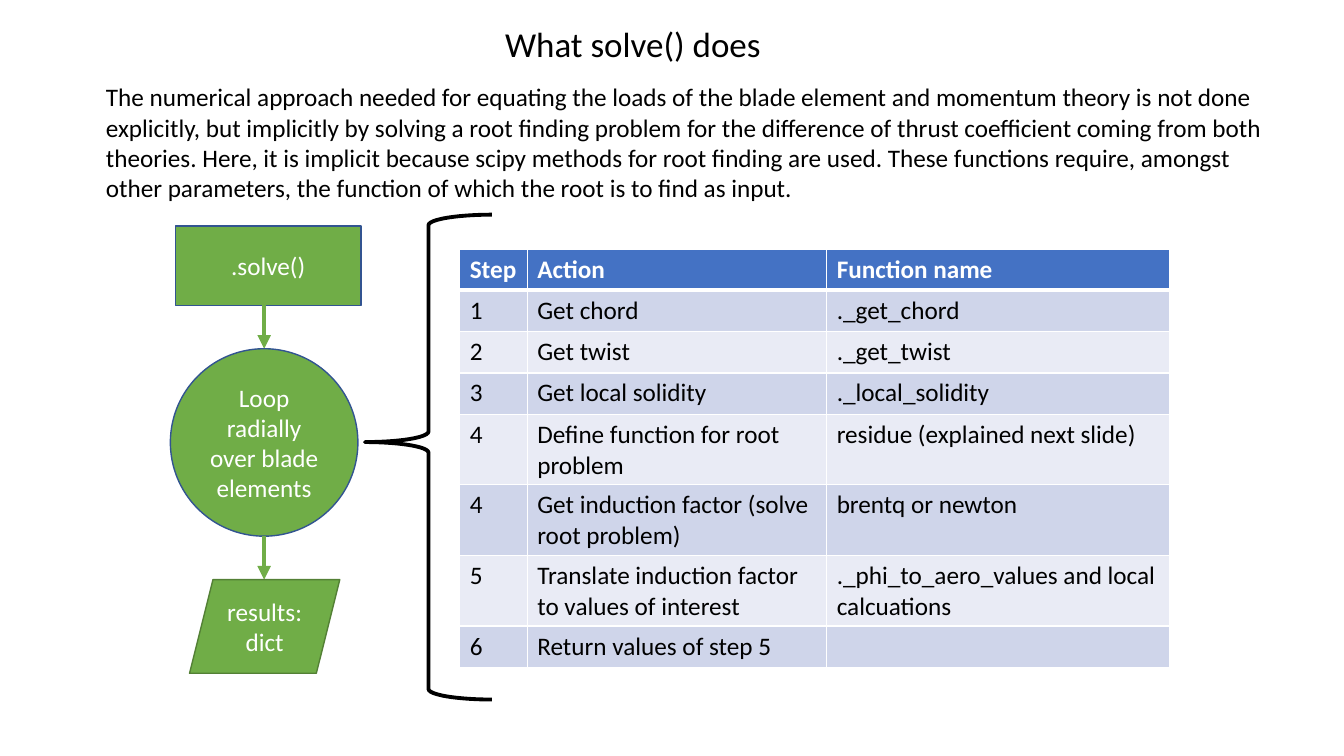
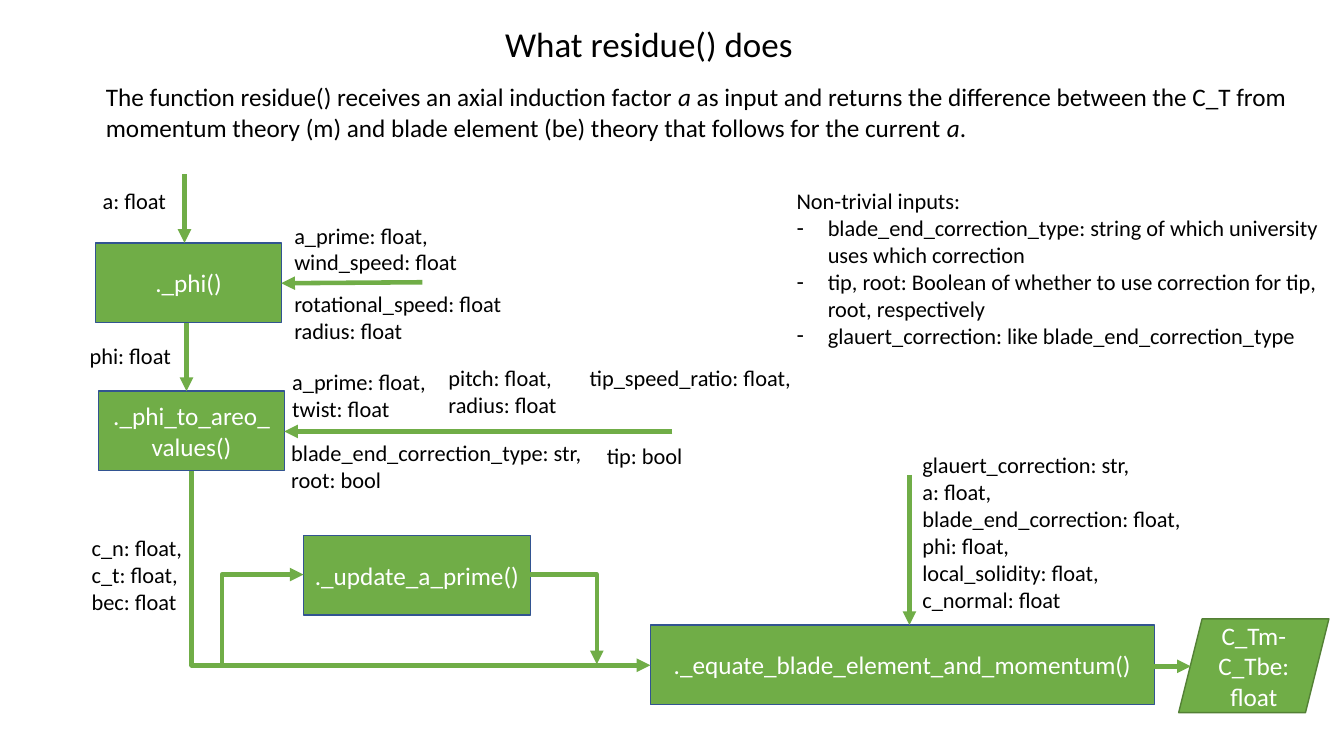
"""Build two slides on the solve() and residue() functions."""
from dataclasses import dataclass

from lxml import etree
from pptx import Presentation
from pptx import util as u
from pptx.dml import color
from pptx.enum import shapes, text
from pptx.oxml import ns

rgb = color.RGBColor.from_string


@dataclass(frozen=True)
class Theme:
    """Colours, type sizes and line widths of both slides."""
    font: str = "Calibri"
    ink: color.RGBColor = rgb("000000")
    paper: color.RGBColor = rgb("FFFFFF")
    green: color.RGBColor = rgb("70AD47")
    blue_edge: color.RGBColor = rgb("325491")
    green_edge: color.RGBColor = rgb("538035")
    header: color.RGBColor = rgb("4472C4")
    bands: tuple = (rgb("CFD5EA"), rgb("E9EBF5"))
    title: int = 25
    body: int = 18
    label: int = 16
    outline: float = 1
    arrow: float = 3.25
    brace: float = 2.75


THEME = Theme()
KIND = shapes.MSO_SHAPE
INTRO_TOP, INTRO_LEFT, INTRO_WIDTH = 0.76, 0.95, 11.93
STEP_WIDTH, STEP_HEIGHT = 1.84, 0.79
RESULT_SIZE = (1.49, 0.93)


def inches(*values):
    """Convert numbers to lengths."""
    return [u.Inches(value) for value in values]


def place(item, left, top, width, height):
    """Move and size an item."""
    item.left, item.top, item.width, item.height = inches(left, top, width, height)


def child(parent, tag, **attributes):
    """Append a drawing element to parent."""
    return etree.SubElement(parent, ns.qn(tag), attributes)


def add_runs(paragraph, runs, size, ink=THEME.ink, bold=False):
    """Add runs to a paragraph; a run in a tuple is italic."""
    for part in runs:
        run = paragraph.add_run()
        run.text = part[0] if isinstance(part, tuple) else part
        run.font.name, run.font.size = THEME.font, u.Pt(size)
        run.font.bold, run.font.italic = bold, isinstance(part, tuple)
        run.font.color.rgb = ink


def write(frame, paragraphs, size, wrap=True):
    """Fill a growing, left-aligned text frame with lists of runs."""
    frame.word_wrap = wrap
    frame.auto_size = text.MSO_AUTO_SIZE.SHAPE_TO_FIT_TEXT
    frame.vertical_anchor = text.MSO_ANCHOR.TOP
    for index, runs in enumerate(paragraphs):
        paragraph = frame.add_paragraph() if index else frame.paragraphs[0]
        paragraph.alignment = text.PP_ALIGN.LEFT
        paragraph.space_before = u.Pt(0)
        add_runs(paragraph, runs, size)


def set_bullet(paragraph, mark=None):
    """Give a paragraph a hanging mark, or none at all."""
    properties = paragraph._p.get_or_add_pPr()
    hang = u.Inches(0.31) if mark else 0
    properties.set("marL", str(hang))
    properties.set("indent", str(-hang))
    if mark:
        child(properties, "a:buFontTx")
        child(properties, "a:buChar", char=mark)
    else:
        child(properties, "a:buNone")


def start_slide(deck, layout, heading, heading_width, intro, intro_height):
    """Add a slide with its heading and introduction."""
    slide = deck.slides.add_slide(deck.slide_layouts[layout])
    place(slide.shapes.title, 4.91, 0.17, heading_width, 0.52)
    write(slide.shapes.title.text_frame, [[heading]], THEME.title, wrap=False)
    body = slide.placeholders[1]
    place(body, INTRO_LEFT, INTRO_TOP, INTRO_WIDTH, intro_height)
    write(body.text_frame, [intro], THEME.body)
    set_bullet(body.text_frame.paragraphs[0])
    return slide


def add_label(slide, left, top, width, lines, wrap=False):
    """Add a note that names the values passed along an arrow."""
    height = 0.1 + 0.27 * len(lines)
    label = slide.shapes.add_textbox(*inches(left, top, width, height))
    write(label.text_frame, [[line] for line in lines], THEME.label, wrap)


def add_node(slide, kind, left, top, width, height, caption, edge=THEME.blue_edge):
    """Add a green flow chart node."""
    node = slide.shapes.add_shape(kind, *inches(left, top, width, height))
    node.shadow.inherit = False
    node.fill.solid()
    node.fill.fore_color.rgb = THEME.green
    node.line.color.rgb, node.line.width = edge, u.Pt(THEME.outline)
    node.text_frame.vertical_anchor = text.MSO_ANCHOR.MIDDLE
    paragraph = node.text_frame.paragraphs[0]
    paragraph.alignment = text.PP_ALIGN.CENTER
    add_runs(paragraph, [caption], THEME.body, THEME.paper)
    return node


def add_step(slide, left, top, caption, width=STEP_WIDTH):
    """Add a rectangular function node."""
    return add_node(slide, KIND.RECTANGLE, left, top, width, STEP_HEIGHT, caption)


def add_result(slide, left, top, caption):
    """Add a parallelogram node for a returned value."""
    add_node(slide, KIND.PARALLELOGRAM, left, top, *RESULT_SIZE, caption, THEME.green_edge)


def style_arrow(arrow):
    """Make a connector a green arrow without shadow."""
    arrow.line.color.rgb, arrow.line.width = THEME.green, u.Pt(THEME.arrow)
    child(arrow.line._get_or_add_ln(), "a:tailEnd", type="triangle")
    child(arrow._element.spPr, "a:effectLst")


def add_arrow(slide, start, end):
    """Add a straight arrow."""
    style_arrow(slide.shapes.add_connector(
        shapes.MSO_CONNECTOR.STRAIGHT, *inches(*start, *end)))


def add_elbow(slide, start, end, source=None, target=None, vertical_first=True):
    """Add a rightward arrow with one corner, joined to (node, site) pairs."""
    elbow = slide.shapes.add_connector(
        shapes.MSO_CONNECTOR.ELBOW, *inches(*start, *end))
    if source:
        elbow.begin_connect(*source)
    if target:
        elbow.end_connect(*target)
    (x1, y1), (x2, y2) = start, end
    upward = y2 < y1
    width, height = abs(x2 - x1), abs(y2 - y1)
    turn = 0
    if vertical_first:
        width, height = height, width
        turn = 90 if upward else 270
    place(elbow, (x1 + x2 - width) / 2, (y1 + y2 - height) / 2, width, height)
    frame = elbow._element.spPr.find(ns.qn("a:xfrm"))
    frame.set("rot", str(turn * 60000))
    frame.set("flipH", str(int(vertical_first)))
    frame.set("flipV", str(int(upward)))
    elbow._element.spPr.find(ns.qn("a:prstGeom")).set("prst", "bentConnector2")
    style_arrow(elbow)


def add_brace(slide):
    """Add the brace that opens the loop into its steps."""
    brace = slide.shapes.add_shape(KIND.LEFT_BRACE, *inches(3.62, 2.13, 1.26, 4.81))
    brace.shadow.inherit = False
    brace.fill.background()
    brace.line.color.rgb, brace.line.width = THEME.ink, u.Pt(THEME.brace)
    brace.adjustments[0], brace.adjustments[1] = 0.083, 0.469


def set_borders(cell, row):
    """Draw white cell borders, thicker under the header row."""
    thick = {0: "B", 1: "T"}.get(row)
    for side in "LRTB":
        width = u.Pt(3 if side == thick else 1)
        line = child(cell._tc.get_or_add_tcPr(), f"a:ln{side}", w=str(width))
        child(child(line, "a:solidFill"), "a:srgbClr", val=str(THEME.paper))


def add_steps_table(slide, left, top, widths, row_height, rows):
    """Add a banded table with a header row."""
    area = inches(left, top, sum(widths), row_height * len(rows))
    table = slide.shapes.add_table(len(rows), len(widths), *area).table
    for column, width in zip(table.columns, widths):
        column.width = u.Inches(width)
    for r, row in enumerate(rows):
        table.rows[r].height = u.Inches(row_height)
        for c, entry in enumerate(row):
            cell = table.cell(r, c)
            set_borders(cell, r)
            cell.fill.solid()
            cell.fill.fore_color.rgb = THEME.bands[(r - 1) % 2] if r else THEME.header
            if entry:
                add_runs(cell.text_frame.paragraphs[0], [entry], THEME.body,
                         THEME.ink if r else THEME.paper, bold=not r)


def build_solve(deck):
    """Build the slide on solve()."""
    slide = start_slide(deck, 1, "What solve() does", 2.76, [
        "The numerical approach needed for equating the loads of the blade element and "
        "momentum theory is not done explicitly, but implicitly by solving a root finding "
        "problem for the difference of thrust coefficient coming from both theories. Here, "
        "it is implicit because scipy methods for root finding are used. These functions "
        "require, amongst other parameters, the function of which the root is to find as "
        "input."], 1.31)
    add_step(slide, 1.74, 2.24, ".solve()")
    add_arrow(slide, (2.62, 3.03), (2.62, 3.46))
    add_node(slide, KIND.OVAL, 1.69, 3.46, 1.86, 1.86, "Loop radially over blade elements")
    add_arrow(slide, (2.62, 5.32), (2.62, 5.75))
    add_result(slide, 1.88, 5.75, "results: dict")
    add_brace(slide)
    add_steps_table(slide, 4.56, 2.47, (0.67, 2.97, 3.4), 0.41, [
        ("Step", "Action", "Function name"),
        ("1", "Get chord", "._get_chord"),
        ("2", "Get twist", "._get_twist"),
        ("3", "Get local solidity", "._local_solidity"),
        ("4", "Define function for root problem", "residue (explained next slide)"),
        ("4", "Get induction factor (solve root problem)", "brentq or newton"),
        ("5", "Translate induction factor to values of interest",
         "._phi_to_aero_values and local calcuations"),
        ("6", "Return values of step 5", ""),
    ])


def add_inputs(slide):
    """Fill the second body with the list of inputs."""
    inputs = slide.placeholders[2]
    place(inputs, 7.8, 1.81, 5.38, 1.72)
    write(inputs.text_frame, [
        ["Non-trivial inputs:"],
        ["blade_end_correction_type: string of which university uses which correction"],
        ["tip, root: Boolean of whether to use correction for tip, root, respectively"],
        ["glauert_correction: like blade_end_correction_type"],
    ], THEME.label)
    for index, paragraph in enumerate(inputs.text_frame.paragraphs):
        set_bullet(paragraph, "-" if index else None)


def build_residue(deck):
    """Build the slide on residue()."""
    slide = start_slide(deck, 3, "What residue() does", 3.09, [
        "The function residue() receives an axial induction factor ", ("a",),
        " as input and returns the difference between the C_T from momentum theory (m) "
        "and blade element (be) theory that follows for the current ", ("a",), "."], 0.71)
    add_inputs(slide)
    add_step(slide, 0.95, 2.41, "._phi()")
    to_values = add_step(slide, 0.98, 3.88, "._phi_to_areo_values()")
    update = add_step(slide, 3.01, 5.31, "._update_a_prime()", 2.25)
    equate = add_step(slide, 6.45, 6.2, "._equate_blade_element_and_momentum()", 5)
    add_result(slide, 11.69, 6.14, "C_Tm-C_Tbe: float")

    for start, end in (
            ((1.83, 1.73), (1.83, 2.41)), ((4.19, 2.8), (2.79, 2.81)),
            ((1.85, 3.2), (1.85, 3.88)), ((6.67, 4.28), (2.82, 4.28)),
            ((11.45, 6.61), (11.81, 6.61)), ((9.02, 4.71), (9.02, 6.2))):
        add_arrow(slide, start, end)
    add_elbow(slide, (2.2, 6.59), (3.01, 5.7), target=(update, 1))
    add_elbow(slide, (5.26, 5.7), (5.92, 6.59), source=(update, 3), vertical_first=False)
    add_elbow(slide, (1.9, 4.67), (6.45, 6.6), (to_values, 2), (equate, 1))

    for left, top, width, lines in (
            (0.92, 1.81, 0.84, ["a: float"]),
            (2.82, 2.15, 1.89, ["a_prime: float,", "wind_speed: float"]),
            (2.82, 2.83, 2.28, ["rotational_speed: float", "radius: float"]),
            (0.79, 3.35, 1.02, ["phi: float"]),
            (0.81, 5.25, 1.11, ["c_n: float,", "c_t: float,", "bec: float"]),
            (9.05, 4.43, 2.8, ["glauert_correction: str,", "a: float,",
                               "blade_end_correction: float,", "phi: float,",
                               "local_solidity: float,", "c_normal: float"])):
        add_label(slide, left, top, width, lines)
    for left, top, width, lines in (
            (2.8, 3.6, 1.84, ["a_prime: float,", "twist: float"]),
            (4.35, 3.56, 1.84, ["pitch: float,", "radius: float"]),
            (5.75, 3.56, 2.46, ["tip_speed_ratio: float,"]),
            (2.79, 4.31, 3.13, ["blade_end_correction_type: str,", "root: bool"]),
            (5.92, 4.34, 2.46, ["tip: bool"])):
        add_label(slide, left, top, width, lines, wrap=True)


def main():
    """Build and save the deck."""
    deck = Presentation()
    deck.slide_width, deck.slide_height = inches(13.33, 7.5)
    build_solve(deck)
    build_residue(deck)
    deck.save("out.pptx")


main()
